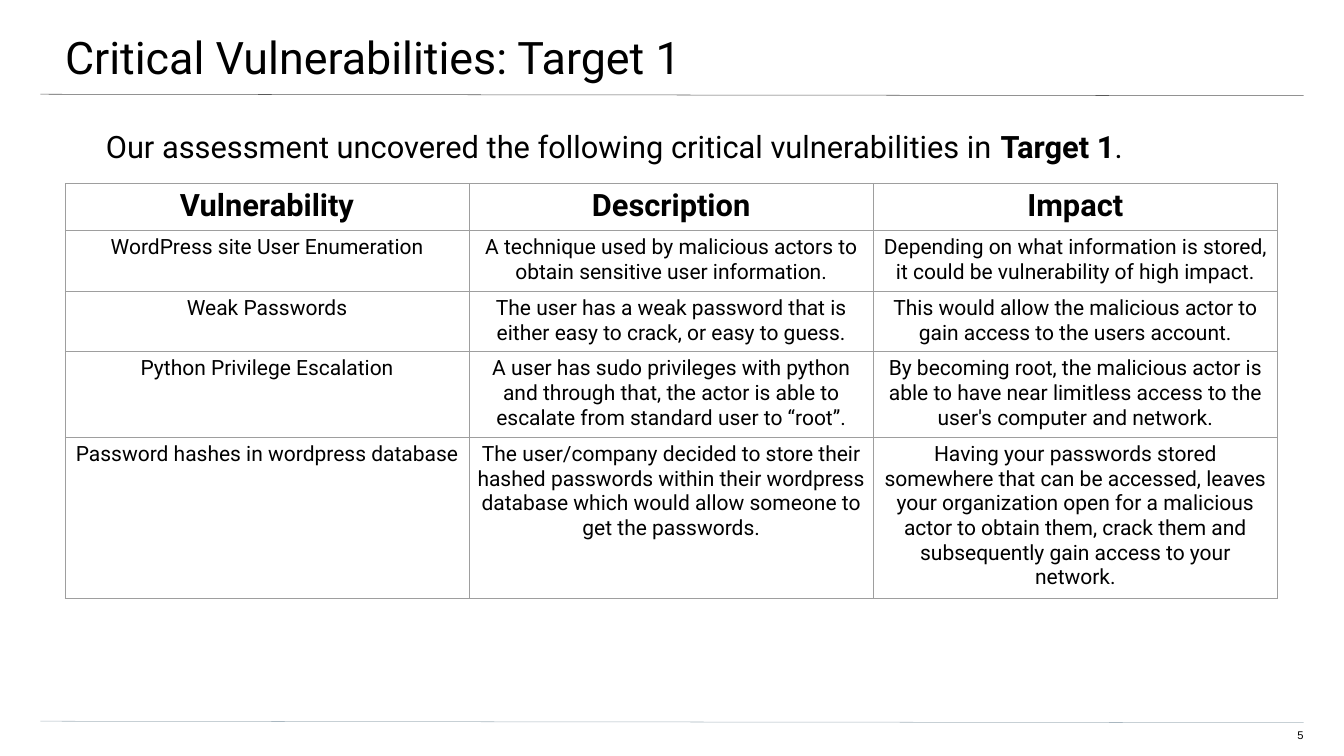
import pptx
import pptx.util
import pptx.dml.color
import pptx.enum.shapes
import pptx.enum.text
import pptx.oxml
from pptx.oxml.ns import nsdecls

Pt = pptx.util.Pt
RGB = pptx.dml.color.RGBColor.from_string
ALIGN = pptx.enum.text.PP_ALIGN
HUES = {"ink": "000000", "rule": "595959", "foot": "A9B7C0", "grid": "9E9E9E"}

deck = pptx.Presentation()
deck.slide_width, deck.slide_height = Pt(1919.52), Pt(1080)
slide = deck.slides.add_slide(deck.slide_layouts[6])


def style(para, size, face="Roboto", bold=None):
    para.font.size = Pt(size)
    para.font.name = face
    para.font.bold = bold
    para.font.color.rgb = RGB(HUES["ink"])


def label(left, top, width, height, size, face="Roboto"):
    frame = slide.shapes.add_textbox(Pt(left), Pt(top), Pt(width), Pt(height)).text_frame
    frame.word_wrap = True
    frame.margin_left = frame.margin_right = 0
    frame.margin_top = frame.margin_bottom = 0
    para = frame.paragraphs[0]
    style(para, size, face)
    return para


# Rules under the title and above the footer
for top, hue in ((134.64, "rule"), (1030.32, "foot")):
    line = slide.shapes.add_connector(
        pptx.enum.shapes.MSO_CONNECTOR.STRAIGHT, Pt(57.6), Pt(top), Pt(1861.92), Pt(top + 2.16))
    line.line.color.rgb = RGB(HUES[hue])
    line.line.width = Pt(0.75)
    line._element.spPr.append(pptx.oxml.parse_xml(f"<a:effectLst {nsdecls('a')}/>"))

# Title, page number and lead sentence
label(92.9, 42, 1770, 76, 64).add_run().text = "Critical Vulnerabilities: Target 1"

page = label(1807.2, 1041.1, 54.7, 22, 16, "Arial")
page.alignment = ALIGN.RIGHT
page.add_run().text = "5"

lead = label(151.2, 182, 1615, 54, 44)
lead.add_run().text = "Our assessment uncovered the following critical vulnerabilities in "
name = lead.add_run()
name.text = "Target 1"
name.font.bold = True
lead.add_run().text = "."

# Table of vulnerabilities
rows = [
    ("Vulnerability", "Description", "Impact"),
    ("WordPress site User Enumeration",
     "A technique used by malicious actors to obtain sensitive user information.",
     "Depending on what information is stored, it could be vulnerability of high impact."),
    ("Weak Passwords",
     "The user has a weak password that is either easy to crack, or easy to guess.",
     "This would allow the malicious actor to gain access to the users account."),
    ("Python Privilege Escalation",
     "A user has sudo privileges with python and through that, the actor is able to "
     "escalate from standard user to “root”.",
     "By becoming root, the malicious actor is able to have near limitless access to "
     "the user's computer and network."),
    ("Password hashes in wordpress database",
     "The user/company decided to store their hashed passwords within their wordpress "
     "database which would allow someone to get the passwords.",
     "Having your passwords stored somewhere that can be accessed, leaves your "
     "organization open for a malicious actor to obtain them, crack them and "
     "subsequently gain access to your network."),
]
tall = [66, 84.5, 84.5, 119.5, 225]
wide = 577.2
table = slide.shapes.add_table(
    len(rows), 3, Pt(92.9), Pt(262), Pt(3 * wide), Pt(sum(tall))).table
table.first_row = table.horz_banding = False
for col in table.columns:
    col.width = Pt(wide)

for r, texts in enumerate(rows):
    table.rows[r].height = Pt(tall[r])
    for c, text in enumerate(texts):
        cell = table.cell(r, c)
        cell.margin_left = cell.margin_right = Pt(7.2)
        cell.margin_top = cell.margin_bottom = Pt(7.2)
        cell.text = text
        para = cell.text_frame.paragraphs[0]
        para.alignment = ALIGN.CENTER
        style(para, 30 if r else 44, bold=r == 0)
        # Borders come before the fill in the cell properties
        props = cell._tc.get_or_add_tcPr()
        for side in ("lnL", "lnR", "lnT", "lnB"):
            props.append(pptx.oxml.parse_xml(
                f'<a:{side} {nsdecls("a")} w="{Pt(0.75)}"><a:solidFill>'
                f'<a:srgbClr val="{HUES["grid"]}"/></a:solidFill></a:{side}>'))
        cell.fill.background()

deck.save("out.pptx")
